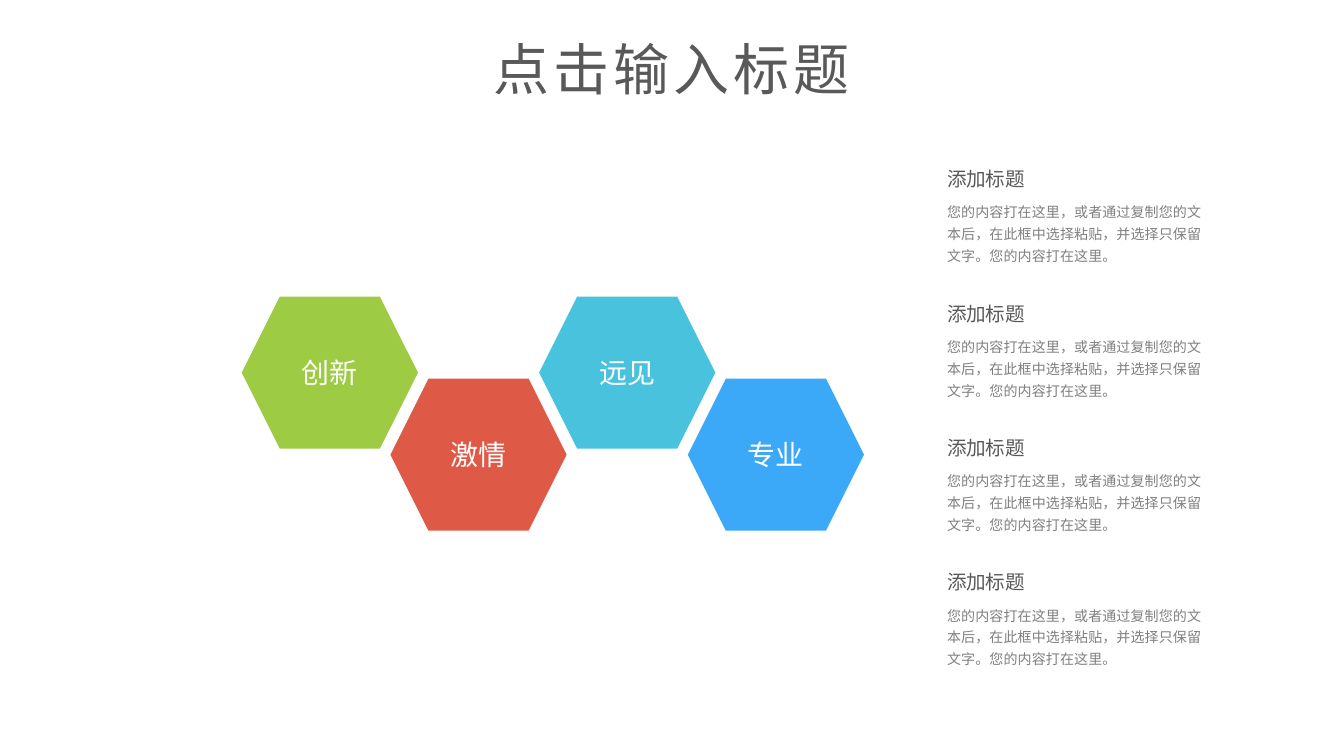
"""Build a slide with a chain of four hexagons and four text notes."""
from lxml.etree import SubElement
from pptx import Presentation
from pptx.dml.color import RGBColor
from pptx.enum.shapes import MSO_SHAPE
from pptx.enum.text import MSO_ANCHOR, MSO_AUTO_SIZE, PP_ALIGN
from pptx.oxml.ns import qn
from pptx.util import Cm, Pt

COLORS = {
    "heading": "595959",
    "body": "808080",
    "white": "FFFFFF",
    "green": "9DCB43",
    "red": "DF5947",
    "cyan": "49C2DD",
    "blue": "3BA9F8",
}
TITLE_FONT = "Noto Sans CJK JP"
TEXT_FONT = "Noto Sans CJK SC"
HEXAGONS = [("创新", "green"), ("激情", "red"), ("远见", "cyan"), ("专业", "blue")]
NOTE_COUNT = 4
NOTE_TITLE = "添加标题"
NOTE_BODY = (
    "您的内容打在这里，或者通过复制您的文本后，在此框中选择粘贴，"
    "并选择只保留文字。您的内容打在这里。"
)


def rgb(name):
    return RGBColor.from_string(COLORS[name])


def write_text(tf, text, size, color, font=TEXT_FONT, align=PP_ALIGN.LEFT, spacing=None):
    tf.text = text
    p = tf.paragraphs[0]
    p.alignment = align
    p.line_spacing = spacing
    r = p.runs[0]
    r.font.size = Pt(size)
    r.font.color.rgb = rgb(color)
    r.font.name = font
    SubElement(r.font._element, qn("a:ea")).set("typeface", font)
    return r


def set_title(slide, text):
    sp = slide.shapes.title
    sp.left, sp.top, sp.width, sp.height = Cm(8.99), Cm(0.53), Cm(7.42), Cm(1.55)
    tf = sp.text_frame
    tf.word_wrap = False
    tf.auto_size = MSO_AUTO_SIZE.SHAPE_TO_FIT_TEXT
    tf.vertical_anchor = MSO_ANCHOR.TOP
    r = write_text(tf, text, 30, "heading", TITLE_FONT, PP_ALIGN.CENTER)
    r.font._element.set("spc", "220")


def add_hexagon(slide, left, top, text, color):
    sp = slide.shapes.add_shape(
        MSO_SHAPE.HEXAGON, Cm(left), Cm(top), Cm(3.33), Cm(2.87)
    )
    sp.shadow.inherit = False
    sp.fill.solid()
    sp.fill.fore_color.rgb = rgb(color)
    sp.line.fill.background()
    tf = sp.text_frame
    tf.margin_left = tf.margin_right = Cm(0.18)
    tf.margin_top = tf.margin_bottom = Cm(0.1)
    tf.vertical_anchor = MSO_ANCHOR.MIDDLE
    write_text(tf, text, 15, "white", align=PP_ALIGN.CENTER)


def add_text(slide, top, width, height, text, size, color, spacing, margin):
    sp = slide.shapes.add_textbox(Cm(17.65), Cm(top), Cm(width), Cm(height))
    tf = sp.text_frame
    tf.word_wrap = True
    tf.auto_size = MSO_AUTO_SIZE.SHAPE_TO_FIT_TEXT
    tf.margin_top = tf.margin_bottom = Cm(margin)
    write_text(tf, text, size, color, spacing=spacing)


def add_note(slide, top):
    add_text(slide, top + 0.69, 5.31, 1.5, NOTE_BODY, 7.5, "body", 1.3, 0.13)
    add_text(slide, top, 2.11, 0.69, NOTE_TITLE, 10.5, "heading", 1.5, 0)


def main():
    prs = Presentation()
    prs.slide_width, prs.slide_height = Cm(25.4), Cm(14.29)
    slide = prs.slides.add_slide(prs.slide_layouts[5])
    set_title(slide, "点击输入标题")
    for i, (text, color) in enumerate(HEXAGONS):
        add_hexagon(slide, 4.57 + 2.81 * i, 5.61 + 1.55 * (i % 2), text, color)
    for i in range(NOTE_COUNT):
        add_note(slide, 2.94 + 2.54 * i)
    prs.save("out.pptx")


if __name__ == "__main__":
    main()
